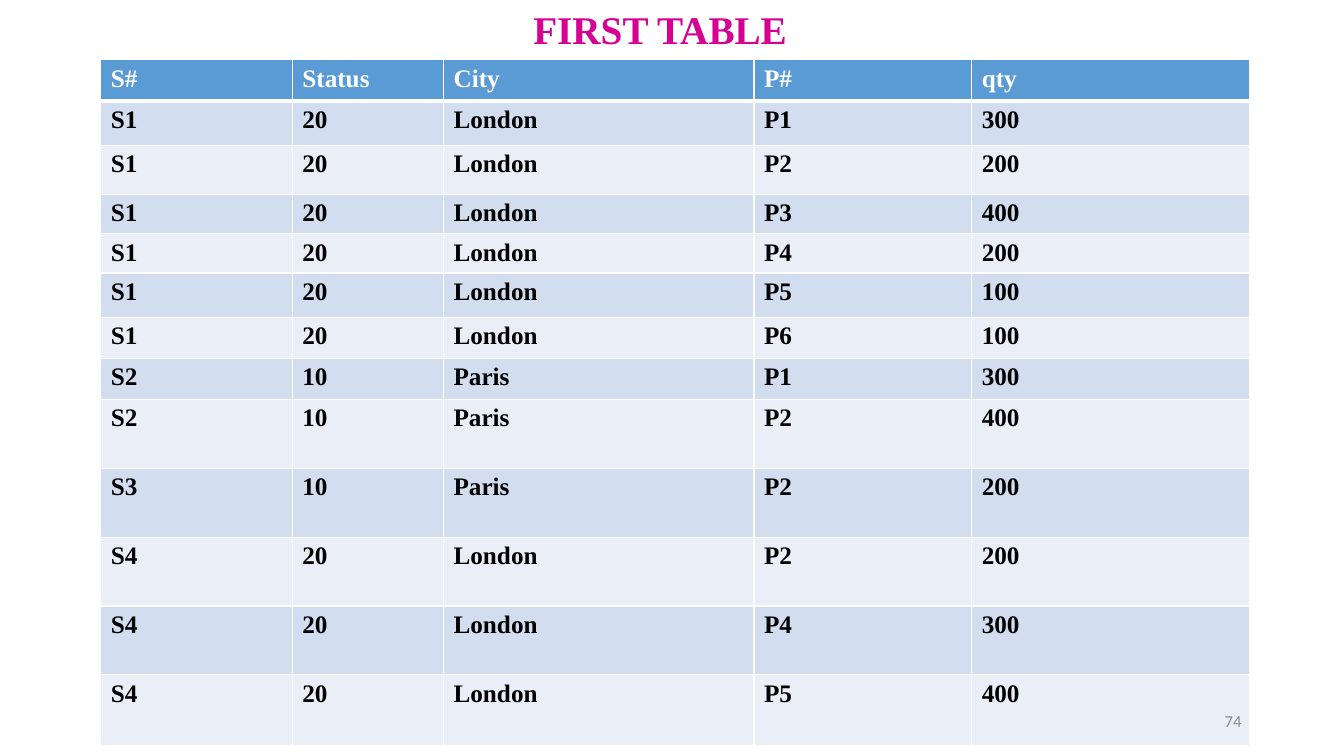
from dataclasses import dataclass, field

from lxml import etree
from pptx import Presentation
from pptx import util as u
from pptx.dml.color import RGBColor
from pptx.enum import text
from pptx.oxml.ns import qn


@dataclass(frozen=True)
class Theme:
    """Colours, fonts and type sizes of the slide."""
    serif: str = "Times New Roman"
    sans: str = "Calibri"
    title: str = "D60093"
    header: str = "5B9BD5"
    bands: tuple[str, str] = ("D2DEEF", "EAEFF7")
    white: str = "FFFFFF"
    ink: str = "000000"
    grey: str = "8C8C8C"
    title_size: float = 28
    cell_size: float = 18
    number_size: float = 12


THEME = Theme()


@dataclass(frozen=True)
class Style:
    """Look of one run of text."""
    size: float
    name: str
    color: str
    bold: bool


@dataclass(frozen=True)
class Label:
    """A text box with its place in points."""
    words: str
    box: tuple[float, float, float, float]
    style: Style
    frame: dict = field(default_factory=dict)
    align: text.PP_ALIGN = text.PP_ALIGN.LEFT


@dataclass(frozen=True)
class Shipment:
    """One row of the shipment table."""
    supplier: str
    status: int
    city: str
    product: str
    qty: int
    height: float

    def texts(self) -> list[str]:
        """Return the texts shown in the row."""
        return [self.supplier, str(self.status), self.city, self.product, str(self.qty)]


HEADINGS = ["S#", "Status", "City", "P#", "qty"]
HEADING_HEIGHT = 29.5
COLUMN_WIDTHS = [136.8, 108, 221.8, 155.5, 198.7]
TABLE_LEFT, TABLE_TOP = 72, 42.5
SHIPMENTS = [
    Shipment("S1", 20, "London", "P1", 300, 31.7),
    Shipment("S1", 20, "London", "P2", 200, 35.2),
    Shipment("S1", 20, "London", "P3", 400, 28.1),
    Shipment("S1", 20, "London", "P4", 200, 28.1),
    Shipment("S1", 20, "London", "P5", 100, 31.7),
    Shipment("S1", 20, "London", "P6", 100, 29.3),
    Shipment("S2", 10, "Paris", "P1", 300, 29.3),
    Shipment("S2", 10, "Paris", "P2", 400, 49.2),
    Shipment("S3", 10, "Paris", "P2", 200, 49.2),
    Shipment("S4", 20, "London", "P2", 200, 49.2),
    Shipment("S4", 20, "London", "P4", 300, 49.2),
    Shipment("S4", 20, "London", "P5", 400, 50.4),
]
LABELS = [
    Label("FIRST TABLE", (156, 0, 631, 41),
          Style(THEME.title_size, THEME.serif, THEME.title, True),
          {"auto_size": text.MSO_AUTO_SIZE.SHAPE_TO_FIT_TEXT}, text.PP_ALIGN.CENTER),
    Label("74", (678, 500.5, 216, 28.8),
          Style(THEME.number_size, THEME.sans, THEME.grey, False),
          {"vertical_anchor": text.MSO_ANCHOR.MIDDLE}, text.PP_ALIGN.RIGHT),
]


def write(p, words: str, style: Style) -> None:
    """Add a styled run to a paragraph."""
    r = p.add_run()
    r.text = words
    formats = {"size": u.Pt(style.size), "name": style.name, "bold": style.bold}
    for key, value in formats.items():
        setattr(r.font, key, value)
    r.font.color.rgb = RGBColor.from_string(style.color)


def add_borders(cell, bottom: float) -> None:
    """Draw the white rules around a cell."""
    tc_pr = cell._tc.get_or_add_tcPr()
    for side, width in {"lnL": 1, "lnR": 1, "lnT": 1, "lnB": bottom}.items():
        ln = etree.SubElement(tc_pr, qn(f"a:{side}"), w=str(u.Pt(width)))
        fill = etree.SubElement(ln, qn("a:solidFill"))
        etree.SubElement(fill, qn("a:srgbClr"), val=THEME.white)


def fill_row(row, words: list[str], height: float, color: str, ink: str, bottom: float) -> None:
    """Set the height, text, rules and fill of a table row."""
    row.height = u.Pt(height)
    style = Style(THEME.cell_size, THEME.serif, ink, True)
    for cell, word in zip(row.cells, words):
        add_borders(cell, bottom)
        cell.fill.solid()
        cell.fill.fore_color.rgb = RGBColor.from_string(color)
        write(cell.text_frame.paragraphs[0], word, style)


def add_shipments(s) -> None:
    """Add the shipment table to a slide."""
    height = HEADING_HEIGHT + sum(shipment.height for shipment in SHIPMENTS)
    frame = s.shapes.add_table(len(SHIPMENTS) + 1, len(HEADINGS), u.Pt(TABLE_LEFT),
                               u.Pt(TABLE_TOP), u.Pt(sum(COLUMN_WIDTHS)), u.Pt(height))
    table = frame.table
    for column, width in zip(table.columns, COLUMN_WIDTHS):
        column.width = u.Pt(width)
    fill_row(table.rows[0], HEADINGS, HEADING_HEIGHT, THEME.header, THEME.white, 3)
    for i, shipment in enumerate(SHIPMENTS):
        fill_row(table.rows[i + 1], shipment.texts(), shipment.height,
                 THEME.bands[i % 2], THEME.ink, 1)


def add_label(s, label: Label) -> None:
    """Add a text box to a slide."""
    sp = s.shapes.add_textbox(*map(u.Pt, label.box))
    tf = sp.text_frame
    for key, value in {"word_wrap": True, **label.frame}.items():
        setattr(tf, key, value)
    p = tf.paragraphs[0]
    p.alignment = label.align
    write(p, label.words, label.style)


def main() -> None:
    """Build the slide and save it."""
    prs = Presentation()
    prs.slide_width, prs.slide_height = u.Pt(960), u.Pt(540)
    s = prs.slides.add_slide(prs.slide_layouts[6])
    add_shipments(s)
    for label in LABELS:
        add_label(s, label)
    prs.save("out.pptx")


if __name__ == "__main__":
    main()
